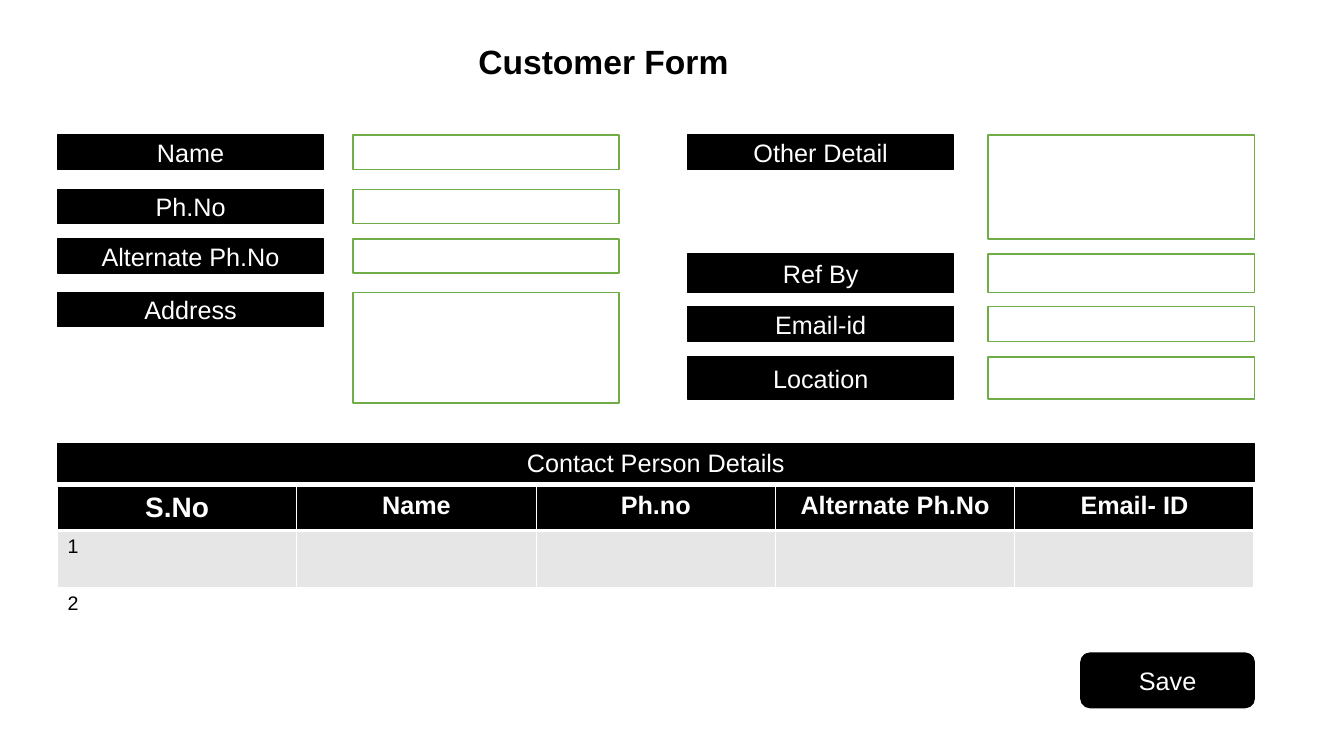
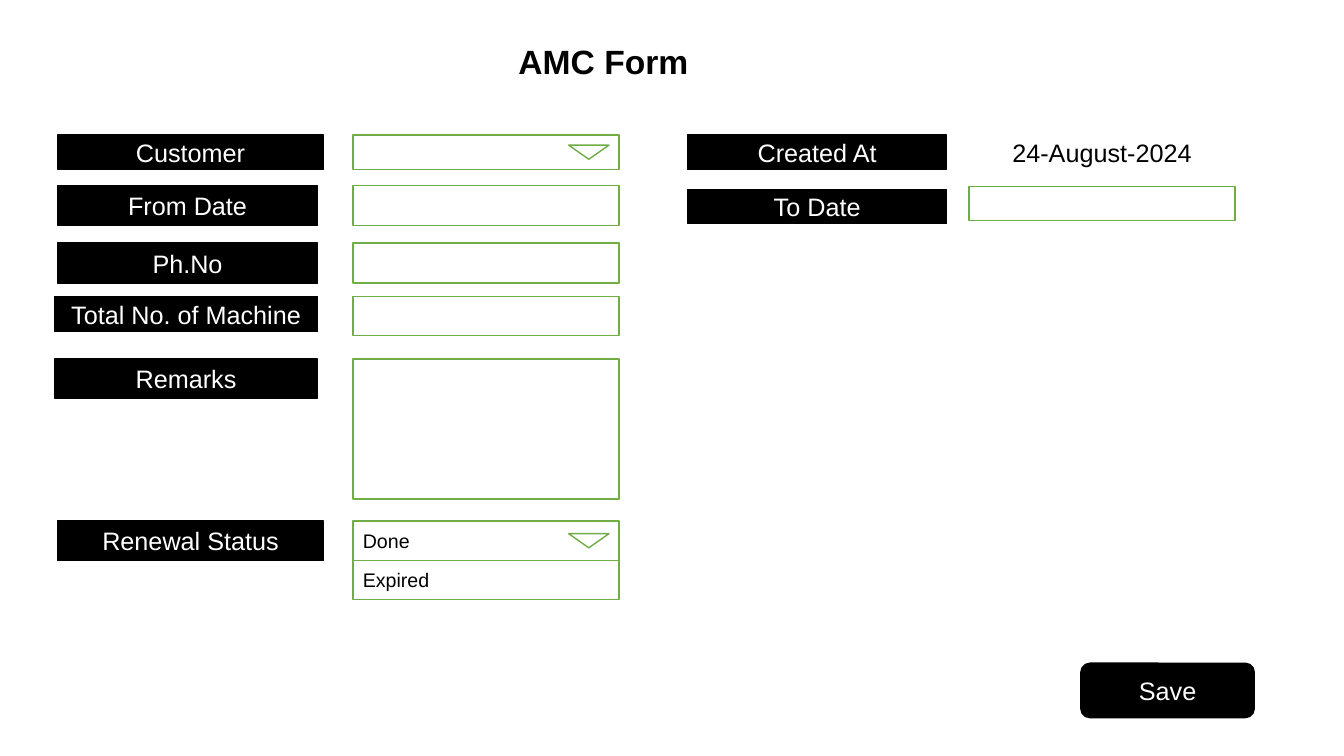
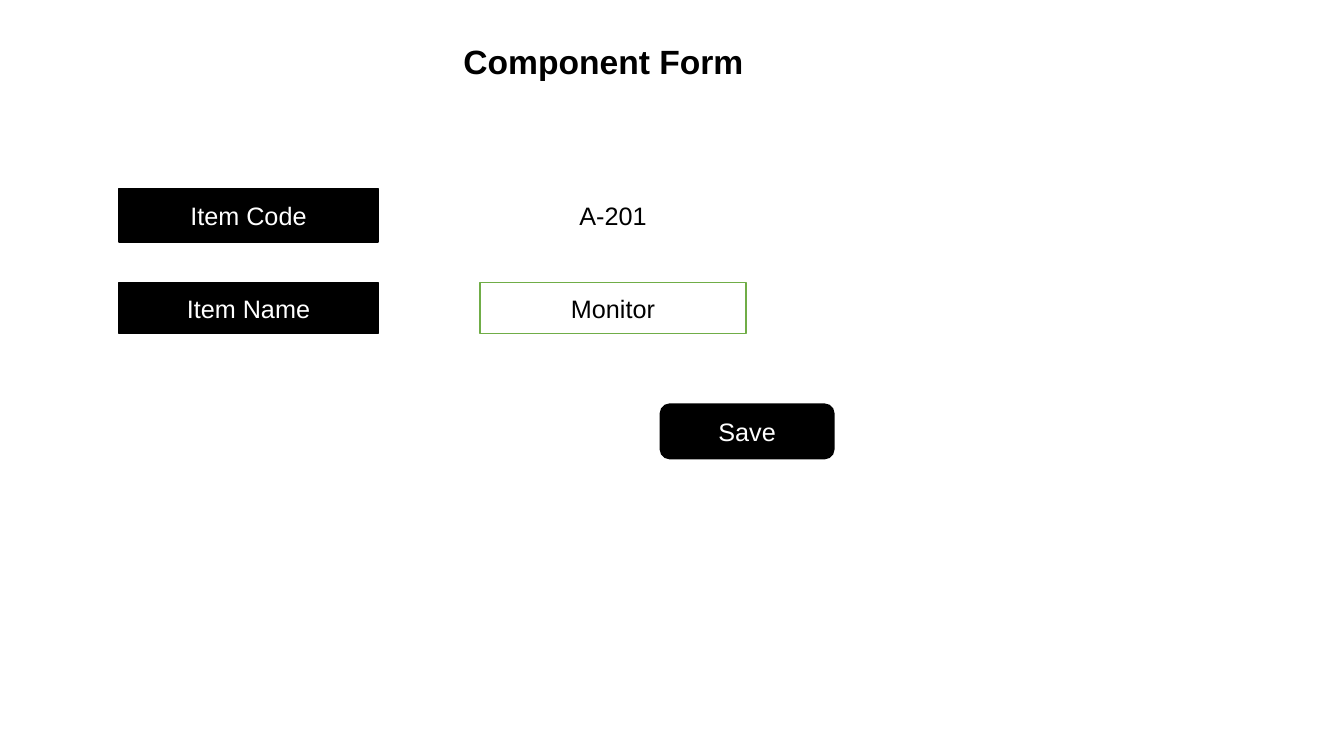
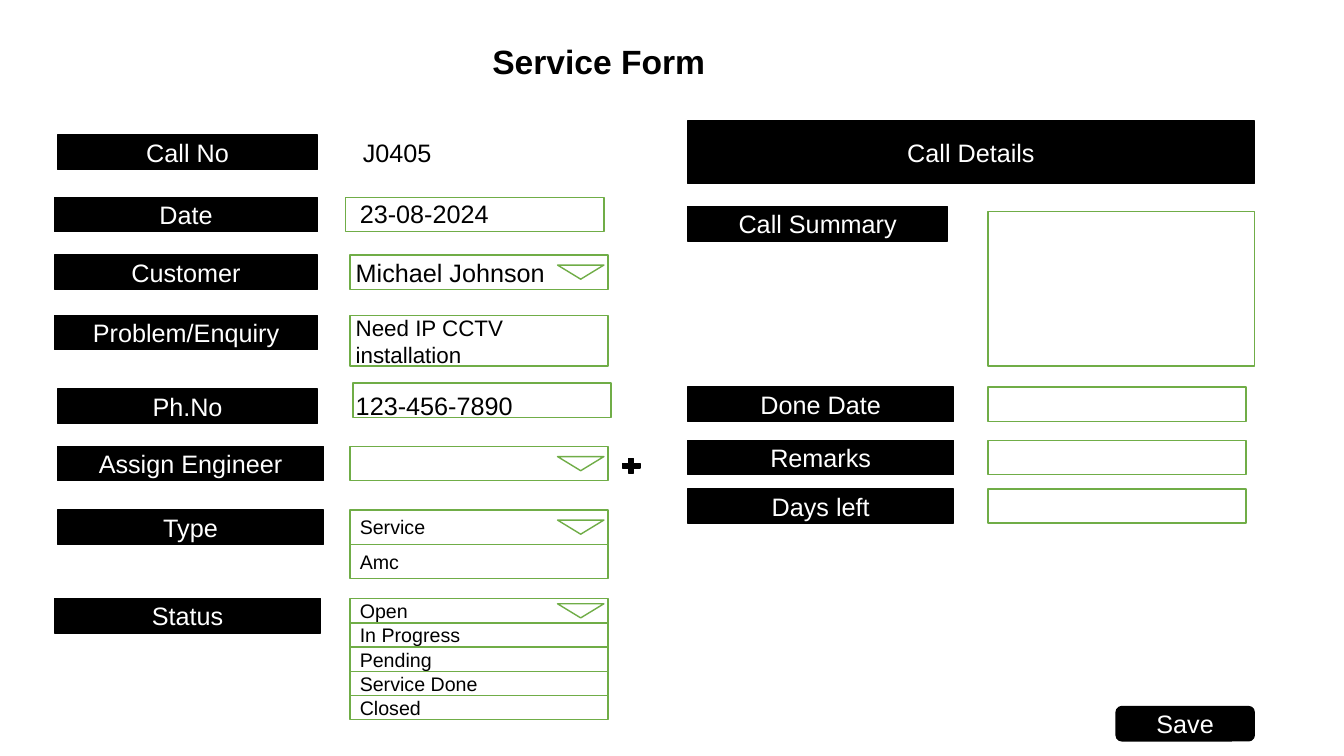
from dataclasses import dataclass

from lxml.etree import SubElement
from pptx import Presentation
from pptx.dml.color import RGBColor
from pptx.enum.shapes import MSO_SHAPE
from pptx.enum.text import MSO_ANCHOR, PP_ALIGN
from pptx.oxml.ns import qn
from pptx.util import Emu, Pt


@dataclass(frozen=True)
class Theme:
    font: str = "Arial"
    black: str = "000000"
    white: str = "FFFFFF"
    green: str = "70AD47"
    grey: str = "E7E6E6"
    title: int = 24
    header: int = 20
    body: int = 18
    note: int = 16
    small: int = 14


@dataclass(frozen=True)
class Row:
    label: str
    top: int
    height: int = 34
    span: int = 0
    lift: int = 0
    kind: str = "field"
    entries: tuple = ("",)
    drop: bool = False


THEME = Theme()
EMU_PER_PX = 9144
SLIDE_SIZE = (1333, 750)
TITLE_BOX = (227, 36, 743, 50)
ARROW_INSET, ARROW_HEIGHT = 50, 14

DARK = dict(fill=THEME.black, line=THEME.black, color=THEME.white)
FIELD = dict(fill=THEME.white, line=THEME.green)
STYLES = {
    "label": DARK,
    "button": dict(DARK, preset=MSO_SHAPE.ROUNDED_RECTANGLE),
    "plus": dict(DARK, preset=MSO_SHAPE.MATH_PLUS),
    "field": FIELD,
    "option": dict(FIELD, align=PP_ALIGN.LEFT, size=THEME.small),
    "arrow": dict(FIELD, preset=MSO_SHAPE.FLOWCHART_MERGE),
    "outline": dict(line=THEME.green),
    "centred": dict(fill=THEME.white),
    "value": dict(align=PP_ALIGN.LEFT),
    "note": dict(align=PP_ALIGN.LEFT, size=THEME.note, anchor=MSO_ANCHOR.TOP),
}

LEFT, SHORT, NEAR = (57, 264), (57, 258), (54, 261)
ANSWER, PICK = (350, 264), (347, 256)
RIGHT, RIGHT_ANSWER = (682, 264), (980, 264)

FORMS = [
    {
        "title": "Customer Form",
        "columns": [
            (LEFT, ANSWER, [
                Row("Name", 134),
                Row("Ph.No", 188),
                Row("Alternate Ph.No", 237),
                Row("Address", 290, span=110),
            ]),
            (RIGHT, RIGHT_ANSWER, [
                Row("Other Detail", 134, span=103),
                Row("Ref By", 252, 38),
                Row("Email-id", 304, 35),
                Row("Location", 354, 42),
            ]),
        ],
        "parts": [
            ("label", "Contact Person Details", (57, 440, 1187, 38)),
            ("button", "Save", (1072, 648, 172, 54)),
        ],
        "contacts": {
            "box": (57, 483, 1187),
            "heights": (43, 57, 57),
            "rows": [
                ("S.No", "Name", "Ph.no", "Alternate Ph.No", "Email- ID"),
                ("1", "", "", "", ""),
                ("2", "", "", "", ""),
            ],
        },
    },
    {
        "title": "AMC Form",
        "arrow": 40,
        "columns": [
            (LEFT, ANSWER, [
                Row("Customer", 134, drop=True),
                Row("Renewal Status", 517, 39, kind="option",
                    entries=("Done", "Expired"), drop=True),
            ]),
            (SHORT, ANSWER, [Row("From Date", 184, 40), Row("Ph.No", 241, 40)]),
            (NEAR, ANSWER, [
                Row("Total No. of Machine", 294, 35, span=39),
                Row("Remarks", 356, 39, span=139),
            ]),
            ((682, 257), (961, 264), [
                Row("Created At", 134, kind="centred", entries=("24-August-2024",)),
                Row("To Date", 188, lift=3),
            ]),
        ],
        "parts": [("button", "Save", (1072, 658, 172, 54))],
    },
    {
        "title": "Component Form",
        "columns": [
            ((118, 257), (476, 264), [
                Row("Item Code", 187, 53, kind="centred", entries=("A-201",)),
                Row("Item Name", 280, 51, entries=("Monitor",)),
            ]),
        ],
        "parts": [("button", "Save", (655, 401, 172, 54))],
    },
    {
        "title": "Service Form ",
        "arrow": 46,
        "columns": [
            (SHORT, ANSWER, [Row("Call No", 134, kind="value", entries=("J0405",))]),
            (NEAR, (343, 256), [Row("Date", 196, kind="outline")]),
            (NEAR, PICK, [
                Row("Customer", 253, kind="outline", drop=True),
                Row("Problem/Enquiry", 313, span=50, kind="outline"),
            ]),
            (SHORT, (350, 256), [Row("Ph.No", 386, lift=6, kind="outline")]),
            (LEFT, PICK, [
                Row("Assign Engineer", 443, drop=True),
                Row("Type", 506, kind="option", entries=("Service", "Amc"), drop=True),
            ]),
            ((54, 264), PICK, [
                Row("Status", 594, span=24, kind="option", drop=True,
                    entries=("Open", "In Progress", "Pending", "Service Done", "Closed")),
            ]),
            (SHORT[:0] + (682, 258), RIGHT_ANSWER, [
                Row("Call Summary", 205, span=153, lift=-5),
            ]),
            (RIGHT, (980, 256), [
                Row("Done Date", 384),
                Row("Remarks", 437),
                Row("Days left", 485),
            ]),
        ],
        "parts": [
            ("value", "23-08-2024", (347, 195, 262, 33)),
            ("value", "Michael Johnson", (343, 253, 247, 35)),
            ("note", "Need IP CCTV installation", (343, 307, 256, 91)),
            ("value", "123-456-7890", (343, 386, 235, 33)),
            ("plus", "", (614, 452, 24, 20)),
            ("label", "Call Details", (682, 120, 562, 62)),
            ("button", "Save", (1107, 701, 137, 34)),
        ],
    },
]
FORMS[-1]["columns"][-2] = ((682, 258),) + FORMS[-1]["columns"][-2][1:]


def px(*lengths):
    return [Emu(round(length * EMU_PER_PX)) for length in lengths]


def rgb(code):
    return RGBColor.from_string(code)


def write(frame, text, size=THEME.body, color=THEME.black, bold=False,
          align=PP_ALIGN.CENTER, anchor=MSO_ANCHOR.MIDDLE):
    frame.word_wrap = True
    frame.vertical_anchor = anchor
    paragraph = frame.paragraphs[0]
    paragraph.alignment = align
    run = paragraph.add_run()
    run.text = text
    run.font.name = THEME.font
    run.font.size = Pt(size)
    run.font.bold = bold
    run.font.color.rgb = rgb(color)


def add_part(slide, text, box, preset=MSO_SHAPE.RECTANGLE, fill=None, line=None, **style):
    part = slide.shapes.add_shape(preset, *px(*box))
    part.shadow.inherit = False
    if fill:
        part.fill.solid()
        part.fill.fore_color.rgb = rgb(fill)
    else:
        part.fill.background()
    if line:
        part.line.color.rgb = rgb(line)
        part.line.width = Pt(1)
    else:
        part.line.fill.background()
    if text:
        write(part.text_frame, text, **style)


def add_row(slide, row, label_column, answer_column, arrow_width):
    (label_left, label_width), (left, width) = label_column, answer_column
    add_part(slide, row.label, (label_left, row.top, label_width, row.height),
             **STYLES["label"])
    height = row.span or row.height
    top = row.top - row.lift
    for i, entry in enumerate(row.entries):
        add_part(slide, entry, (left, top + i * height, width, height), **STYLES[row.kind])
    if row.drop:
        add_part(slide, "", (left + width - ARROW_INSET, top + (height - ARROW_HEIGHT) / 2,
                             arrow_width, ARROW_HEIGHT), **STYLES["arrow"])


def set_borders(cell, bottom):
    properties = cell._tc.get_or_add_tcPr()
    for side, points in (("L", 1), ("R", 1), ("T", 1), ("B", bottom)):
        border = SubElement(properties, qn(f"a:ln{side}"), w=str(Pt(points)))
        paint = SubElement(border, qn("a:solidFill"))
        SubElement(paint, qn("a:srgbClr"), val=THEME.white)


def add_contacts(slide, contacts):
    rows, heights = contacts["rows"], contacts["heights"]
    columns = len(rows[0])
    box = px(*contacts["box"], sum(heights))
    table = slide.shapes.add_table(len(rows), columns, *box).table
    for column in table.columns:
        column.width = Emu(box[2] // columns)
    fills = (THEME.black, THEME.grey, THEME.white)
    for r, (texts, height, fill) in enumerate(zip(rows, heights, fills)):
        table.rows[r].height = px(height)[0]
        for c, text in enumerate(texts):
            cell = table.cell(r, c)
            set_borders(cell, 3 if r == 0 else 1)
            cell.fill.solid()
            cell.fill.fore_color.rgb = rgb(fill)
            if r == 0:
                write(cell.text_frame, text, color=THEME.white, bold=True,
                      size=THEME.header if c == 0 else THEME.body, anchor=MSO_ANCHOR.TOP)
            elif text:
                write(cell.text_frame, text, size=THEME.small,
                      align=PP_ALIGN.LEFT, anchor=MSO_ANCHOR.TOP)


def add_form(deck, form):
    slide = deck.slides.add_slide(deck.slide_layouts[6])
    title = slide.shapes.add_textbox(*px(*TITLE_BOX))
    write(title.text_frame, form["title"], size=THEME.title, bold=True,
          anchor=MSO_ANCHOR.TOP)
    for label_column, answer_column, rows in form["columns"]:
        for row in rows:
            add_row(slide, row, label_column, answer_column, form.get("arrow"))
    for kind, text, box in form["parts"]:
        add_part(slide, text, box, **STYLES[kind])
    if "contacts" in form:
        add_contacts(slide, form["contacts"])


def main():
    deck = Presentation()
    deck.slide_width, deck.slide_height = px(*SLIDE_SIZE)
    for form in FORMS:
        add_form(deck, form)
    deck.save("out.pptx")


if __name__ == "__main__":
    main()
